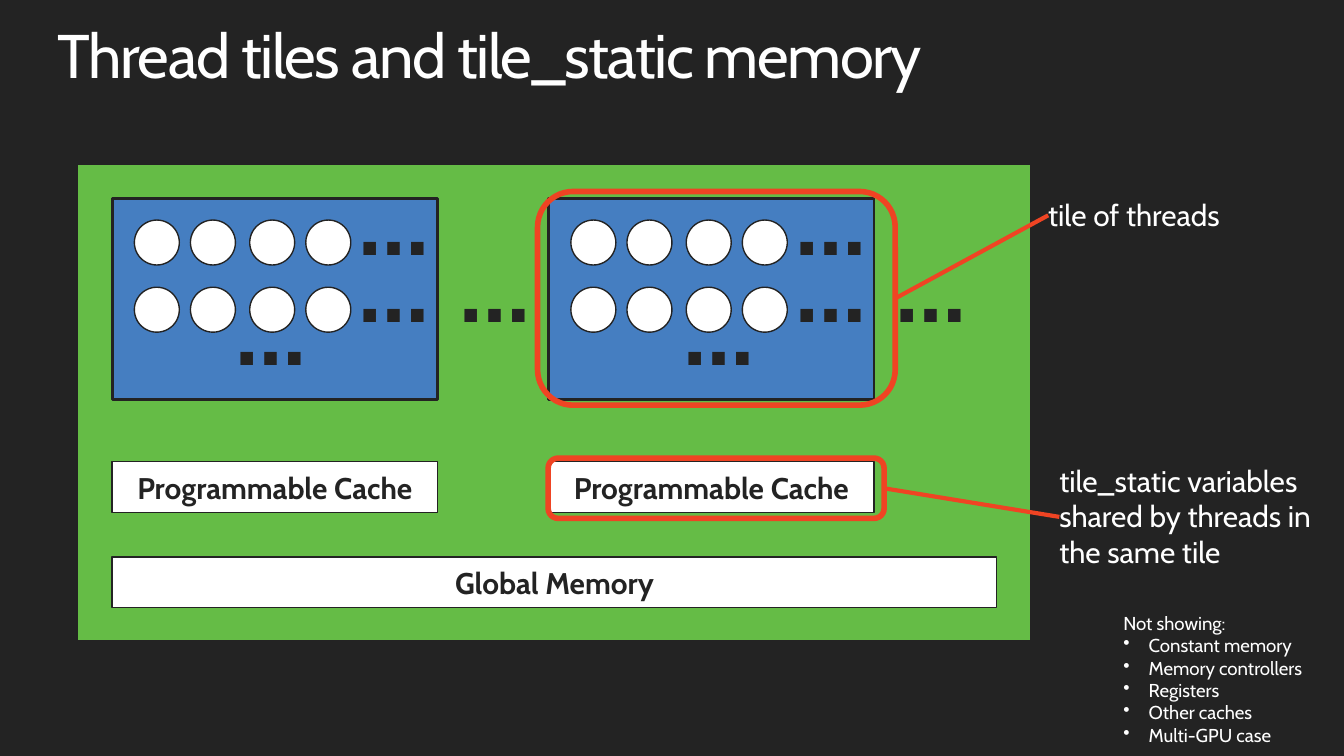
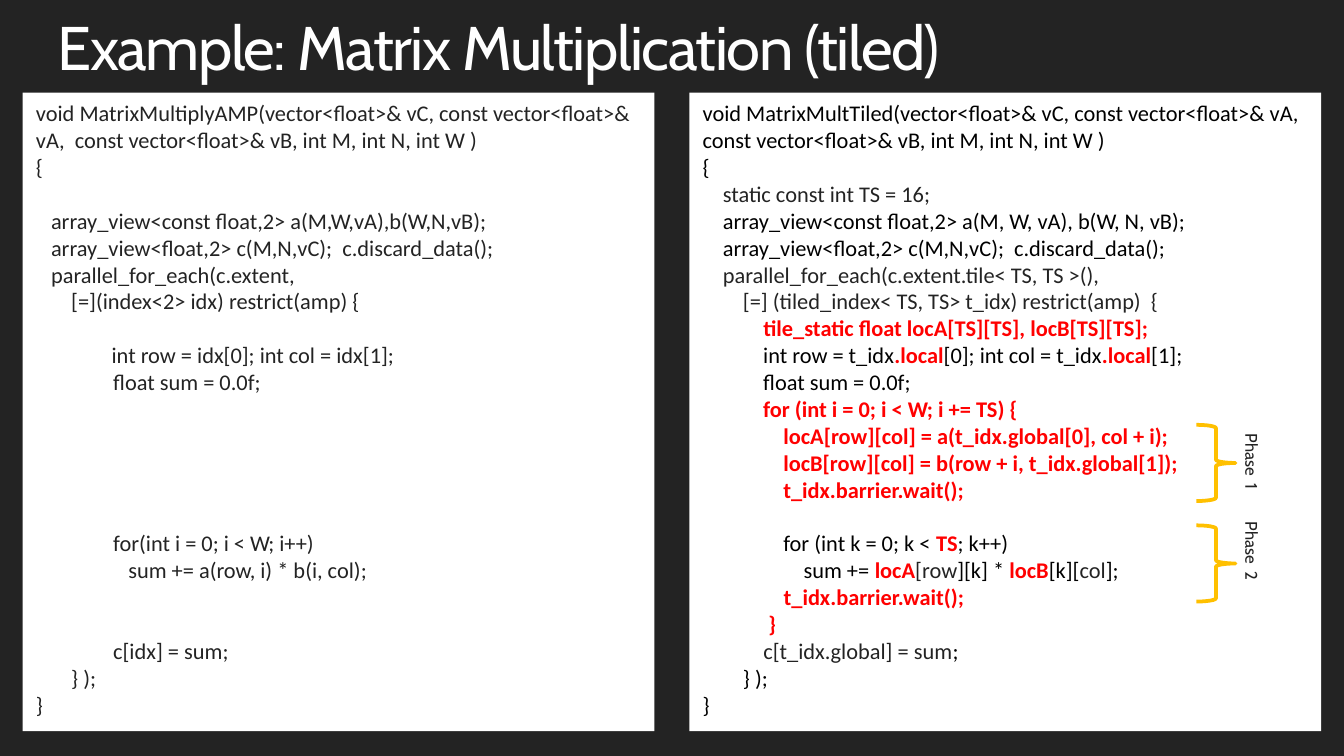
"""Build two slides on tiled threads and tiled matrix multiplication."""
import dataclasses
import itertools

import lxml.etree
import pptx
import pptx.dml.color
import pptx.enum.shapes
import pptx.enum.text
import pptx.oxml.ns
import pptx.util

Cm = pptx.util.Cm
Pt = pptx.util.Pt
Shape = pptx.enum.shapes.MSO_SHAPE
Anchor = pptx.enum.text.MSO_ANCHOR
Align = pptx.enum.text.PP_ALIGN


@dataclasses.dataclass(frozen=True)
class Theme:
    ink: str = "232323"
    white: str = "FFFFFF"
    black: str = "000000"
    green: str = "65BC46"
    blue: str = "457EC1"
    accent: str = "EF4423"
    red: str = "FF0000"
    amber: str = "FFC000"
    text_font: str = "Cabin"
    code_font: str = "Calibri"
    title_size: float = 33
    dots_size: float = 54
    label_size: float = 16
    code_size: float = 12
    note_size: float = 10
    phase_size: float = 9
    code_leading: float = 14.4


@dataclasses.dataclass(frozen=True)
class Span:
    text: str
    color: str
    bold: bool = False


@dataclasses.dataclass(frozen=True)
class Line:
    spans: tuple
    gap: int = 0
    indent: float = 0


THEME = Theme()


def line(*spans, gap=0, indent=0):
    return Line(spans, gap, indent)


def hot(text):
    return Span(text, THEME.red, True)


def soft(text):
    return Span(text, THEME.ink)


class Painter:
    def __init__(self, theme):
        self.theme = theme
        self.deck = pptx.Presentation()
        self.deck.slide_width = Cm(25.4)
        self.deck.slide_height = Cm(14.29)
        self.page = None

    def color(self, value):
        return pptx.dml.color.RGBColor.from_string(value)

    def new_page(self, title, top):
        self.page = self.deck.slides.add_slide(self.deck.slide_layouts[6])
        fill = self.page.background.fill
        fill.solid()
        fill.fore_color.rgb = self.color(self.theme.ink)
        box = self.text(1.09, top, 23.24, 1.27, title, self.theme.title_size)
        para = box.text_frame.paragraphs[0]
        para.line_spacing = 0.9
        para.runs[0].font._element.set("spc", "-80")

    def add_span(self, para, text, size, color, bold=False, font=None):
        span = para.add_run()
        span.text = text
        span.font.name = font or self.theme.text_font
        span.font.size = Pt(size)
        span.font.bold = bold
        span.font.color.rgb = self.color(color)

    def inset(self, frame, across, down):
        frame.margin_left = frame.margin_right = Cm(across)
        frame.margin_top = frame.margin_bottom = Cm(down)

    def text(self, left, top, width, height, text, size,
             color=None, bold=False, wrap=True):
        box = self.page.shapes.add_textbox(
            Cm(left), Cm(top), Cm(width), Cm(height))
        frame = box.text_frame
        frame.word_wrap = wrap
        self.inset(frame, 0, 0)
        self.add_span(frame.paragraphs[0], text, size,
                      color or self.theme.white, bold)
        return box

    def dots(self, left, top):
        self.text(left, top, 1.27, 2.31, "…", self.theme.dots_size,
                  self.theme.ink, bold=True, wrap=False)

    def shape(self, kind, left, top, width, height,
              fill=None, edge=None, weight=0.75):
        box = self.page.shapes.add_shape(
            kind, Cm(left), Cm(top), Cm(width), Cm(height))
        box.shadow.inherit = False
        if fill:
            box.fill.solid()
            box.fill.fore_color.rgb = self.color(fill)
        else:
            box.fill.background()
        if edge:
            box.line.color.rgb = self.color(edge)
            box.line.width = Pt(weight)
        else:
            box.line.fill.background()
        return box

    def memory(self, left, top, width, label):
        box = self.shape(Shape.RECTANGLE, left, top, width, 0.96,
                         self.theme.white, self.theme.ink)
        frame = box.text_frame
        frame.word_wrap = True
        frame.vertical_anchor = Anchor.MIDDLE
        para = frame.paragraphs[0]
        para.alignment = Align.CENTER
        self.add_span(para, label, self.theme.label_size, self.theme.ink, True)

    def highlight(self, left, top, width, height):
        self.shape(Shape.ROUNDED_RECTANGLE, left, top, width, height,
                   edge=self.theme.accent, weight=3)

    def leader(self, start_x, start_y, end_x, end_y):
        connector = self.page.shapes.add_connector(
            pptx.enum.shapes.MSO_CONNECTOR.STRAIGHT,
            Cm(start_x), Cm(start_y), Cm(end_x), Cm(end_y))
        connector.line.color.rgb = self.color(self.theme.accent)
        connector.line.width = Pt(2.25)
        lxml.etree.SubElement(connector._element.spPr,
                              pptx.oxml.ns.qn("a:effectLst"))

    def bullets(self, box, items):
        for item in items:
            para = box.text_frame.add_paragraph()
            properties = para._p.get_or_add_pPr()
            properties.set("marL", str(Cm(0.48)))
            properties.set("indent", str(-Cm(0.48)))
            bullet = lxml.etree.SubElement(properties,
                                           pptx.oxml.ns.qn("a:buChar"))
            bullet.set("char", "•")
            self.add_span(para, item, self.theme.note_size, self.theme.white)

    def code(self, left, lines, color):
        box = self.shape(Shape.RECTANGLE, left, 1.75, 11.94, 12.07,
                         self.theme.white)
        frame = box.text_frame
        frame.word_wrap = True
        frame.vertical_anchor = Anchor.TOP
        self.inset(frame, 0.25, 0.13)
        for number, entry in enumerate(lines):
            para = frame.add_paragraph() if number else frame.paragraphs[0]
            para.alignment = Align.LEFT
            if entry.gap:
                para.space_before = Pt(entry.gap * self.theme.code_leading)
            if entry.indent:
                para._p.get_or_add_pPr().set("marL", str(Cm(entry.indent)))
            for part in entry.spans:
                span = Span(part, color) if isinstance(part, str) else part
                self.add_span(para, span.text, self.theme.code_size,
                              span.color, span.bold, self.theme.code_font)

    def phase(self, label, label_top, brace_top):
        brace = self.shape(Shape.LEFT_BRACE, 22.61, brace_top, 0.74, 1.44,
                           edge=self.theme.amber, weight=2)
        brace.rotation = 180
        box = self.text(22.7, label_top, 1.93, 0.64, label,
                        self.theme.phase_size, self.theme.ink)
        self.inset(box.text_frame, 0.25, 0.13)
        box.rotation = 90


def draw_tile(painter, left, lower_dots):
    theme = painter.theme
    painter.shape(Shape.RECTANGLE, left, 3.75, 6.15, 3.8,
                  theme.blue, theme.ink, 1.5)
    painter.memory(left, 8.73, 6.15, "Programmable Cache")
    for top, offset in itertools.product((4.16, 5.43),
                                         (0.42, 1.48, 2.6, 3.66)):
        painter.shape(Shape.FLOWCHART_CONNECTOR, left + offset, top,
                      0.85, 0.85, theme.white, theme.ink)
    for top in (2.92, 4.19):
        painter.dots(left + 4.66, top)
    painter.dots(left + lower_dots, 5)
    painter.dots(left + 6.56, 4.19)


def draw_memory_page(painter):
    theme = painter.theme
    painter.new_page("Thread tiles and tile_static memory", 0.48)
    painter.shape(Shape.FLOWCHART_PROCESS, 1.48, 3.12, 17.98, 8.97,
                  theme.green)
    for left, lower_dots in ((2.12, 2.33), (10.37, 2.54)):
        draw_tile(painter, left, lower_dots)
    painter.memory(2.12, 10.53, 16.72, "Global Memory")
    painter.highlight(10.36, 8.66, 6.35, 1.14)
    painter.text(20.02, 8.74, 5, 2.06,
                 "tile_static variables shared by threads in the same tile",
                 theme.label_size)
    painter.leader(16.71, 9.23, 20.02, 9.77)
    painter.highlight(10.16, 3.62, 6.76, 4.04)
    painter.text(19.81, 3.71, 5.31, 0.69, "tile of threads",
                 theme.label_size)
    painter.leader(16.92, 5.64, 19.81, 4.07)
    note = painter.text(21.23, 11.56, 4.11, 2.57, "Not showing:",
                        theme.note_size)
    painter.bullets(note, ("Constant memory", "Memory controllers",
                           "Registers", "Other caches", "Multi-GPU case"))


SIMPLE_CODE = (
    line("void MatrixMultiplyAMP(vector<float>& vC, const vector<float>& vA,"
         "  const vector<float>& vB, int M, int N, int W )"),
    line("{"),
    line("   array_view<const float,2> a(M,W,vA),b(W,N,vB);", gap=1),
    line("   array_view<float,2> c(M,N,vC);  c.discard_data();"),
    line("   parallel_for_each(c.extent,"),
    line("       [=](index<2> idx) restrict(amp) {"),
    line("               int row = idx[0]; int col = idx[1];", gap=1),
    line("  float sum = 0.0f;", indent=1.27),
    line("  for(int i = 0; i < W; i++)", gap=5, indent=1.27),
    line("     sum += a(row, i) * b(i, col);", indent=1.27),
    line("  c[idx] = sum;", gap=2, indent=1.27),
    line("       } );"),
    line("}"),
)

TILED_CODE = (
    line("void MatrixMultTiled(vector<float>& vC, const vector<float>& vA, "
         "const vector<float>& vB, int M, int N, int W )"),
    line("{"),
    line(soft("    static const int TS = 16;")),
    line("    array_view<const float,2> a(M, W, vA), b(W, N, vB);"),
    line("    array_view<float,2> c(M,N,vC);  c.discard_data();"),
    line(soft("    parallel_for_each(c.extent.tile< TS, TS >(),")),
    line(soft("        [=] (tiled_index< TS, TS> t_idx) restrict(amp)  {")),
    line("            ", hot("tile_static float locA[TS][TS], locB[TS][TS];")),
    line("            int row = t_idx", hot(".local"), "[0]; int col = t_idx",
         hot(".local"), "[1];"),
    line("            float sum = 0.0f;"),
    line(hot("            for (int i = 0; i < W; i += TS) {")),
    line(hot("                locA[row][col] = a(t_idx.global[0], col + i);")),
    line(hot("                locB[row][col] = b(row + i, t_idx.global[1]);")),
    line(hot("                t_idx.barrier.wait();")),
    line("                for (int k = 0; k < ", hot("TS"), "; k++)", gap=1),
    line("                    sum += ", hot("locA"), soft("[row"), "][k] * ",
         hot("locB"), "[k][", soft("col"), "];"),
    line("                ", hot("t_idx.barrier.wait();")),
    line("             ", hot("}")),
    line("            ", soft("c[t_idx.global] = sum"), ";"),
    line("        } );"),
    line("}"),
)


def draw_code_page(painter):
    painter.new_page("Example: Matrix Multiplication (tiled)", 0.33)
    painter.code(0.43, SIMPLE_CODE, painter.theme.ink)
    painter.code(13.03, TILED_CODE, painter.theme.black)
    painter.phase("Phase  1", 8.59, 8.03)
    painter.phase("Phase  2", 10.26, 9.93)


def main():
    painter = Painter(THEME)
    draw_memory_page(painter)
    draw_code_page(painter)
    painter.deck.save("out.pptx")


if __name__ == "__main__":
    main()
